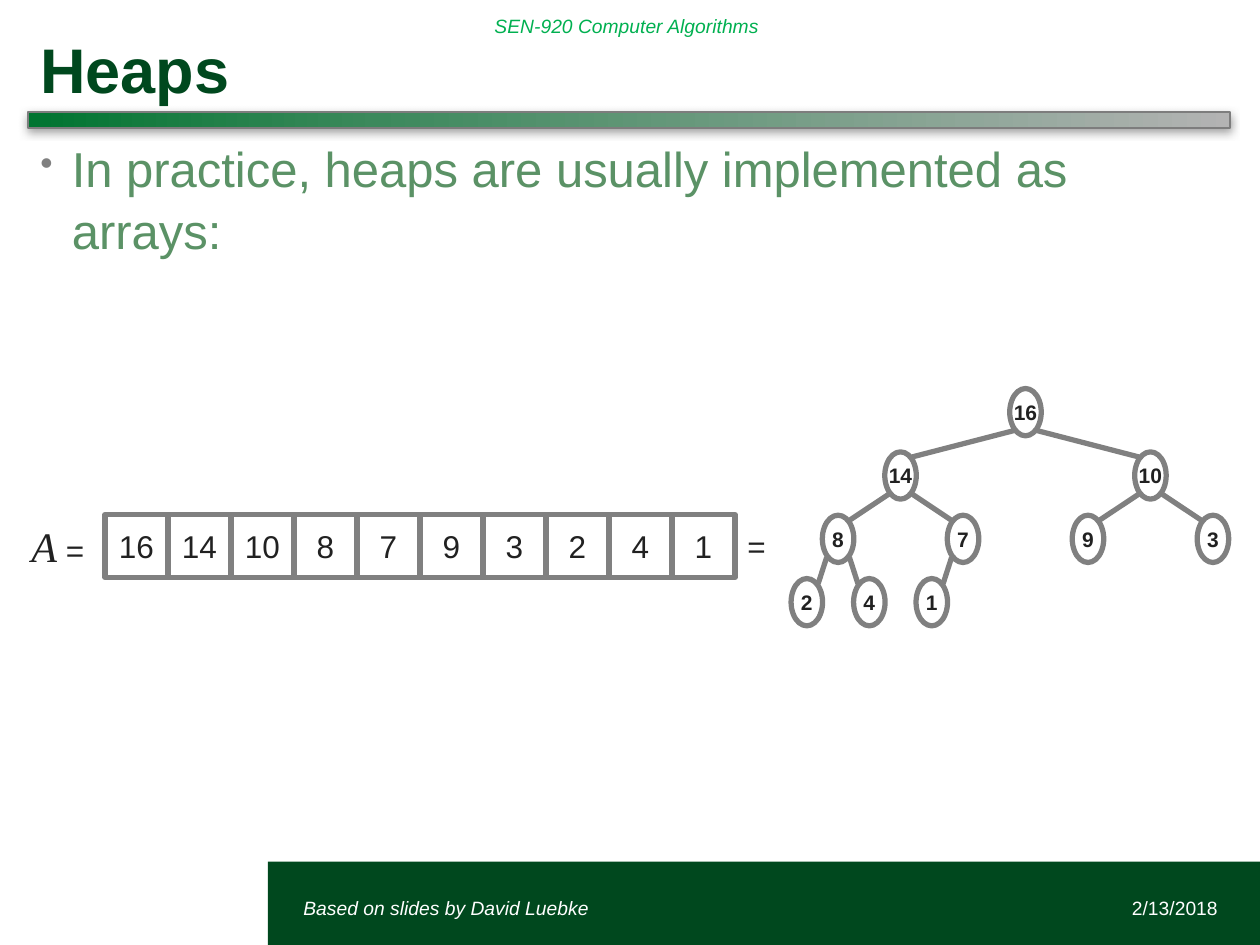
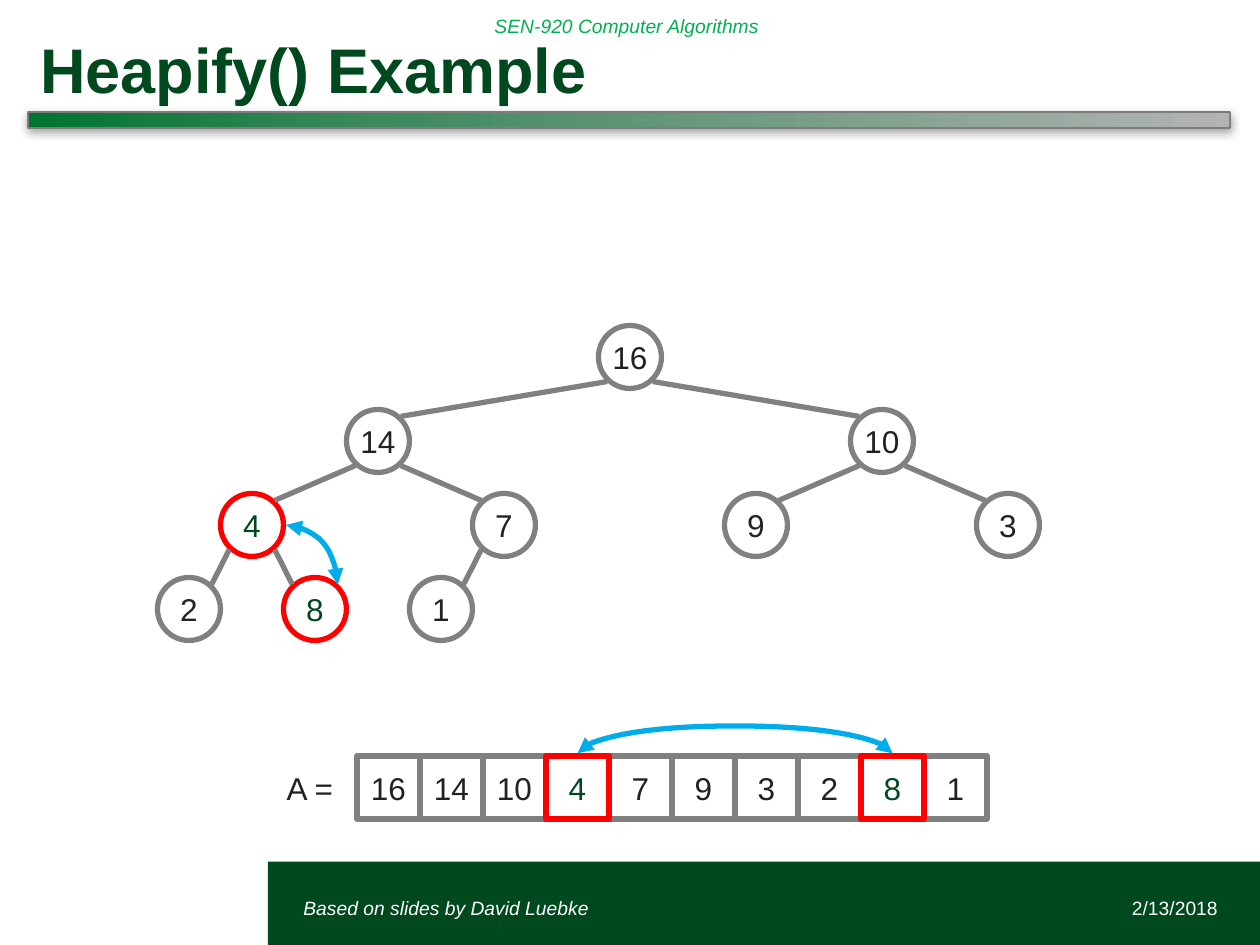
"""Build two slides on heaps: array storage and a Heapify() swap."""
import copy

import pptx
import pptx.dml.color
import pptx.enum.dml
import pptx.enum.shapes
import pptx.enum.text
import pptx.oxml
import pptx.oxml.ns
import pptx.util

Pt = pptx.util.Pt
qn = pptx.oxml.ns.qn
SHAPE = pptx.enum.shapes.MSO_SHAPE
CONNECTOR = pptx.enum.shapes.MSO_CONNECTOR
ALIGN = pptx.enum.text.PP_ALIGN
ANCHOR = pptx.enum.text.MSO_ANCHOR

COLORS = {
    "dark": "00481E", "course": "00B050", "body": "5B9266", "ink": "212121",
    "white": "FFFFFF", "gray": "808080", "bar_line": "7D7D7D",
    "marked": "FF0000", "swap": "00ACEA",
}
BAR_STOPS = [(0, "007430"), (0.29, "3C895C"), (1, "B3B3B3")]
CELL = 36


def rgb(name):
    """Return the named colour."""
    return pptx.dml.color.RGBColor.from_string(COLORS[name])


def add_xml(parent, tag, **attributes):
    """Append a DrawingML element and return it."""
    child = parent.makeelement(qn(tag), attributes)
    parent.append(child)
    return child


def style(font, size, color="ink", name="Arial", bold=False, italic=False):
    """Set the look of a paragraph's or span's font."""
    font.size, font.name = Pt(size), name
    font.bold, font.italic = bold, italic
    font.color.rgb = rgb(color)


def write(shape, text, size, align=ALIGN.CENTER, anchor=ANCHOR.MIDDLE, wrap=False, **look):
    """Put one styled paragraph in a shape and return it."""
    frame = shape.text_frame
    frame.word_wrap = wrap
    frame.vertical_anchor = anchor
    para = frame.paragraphs[0]
    para.text, para.alignment = text, align
    style(para.font, size, **look)
    return para


def add_text(page, place, text, size, **look):
    """Add a text box and return its paragraph."""
    box = page.shapes.add_textbox(*map(Pt, place))
    return write(box, text, size, **look)


def add_shape(shapes, kind, place, fill="white", line="gray", weight=3):
    """Add a filled preset shape without a theme shadow."""
    shape = shapes.add_shape(kind, *map(Pt, place))
    shape.shadow.inherit = False
    shape.fill.solid()
    shape.fill.fore_color.rgb = rgb(fill)
    if line:
        shape.line.color.rgb = rgb(line)
        shape.line.width = Pt(weight)
    else:
        shape.line.fill.background()
    return shape


def add_line(shapes, start, end, color="gray", kind=CONNECTOR.STRAIGHT):
    """Add a connector without a shadow."""
    line = shapes.add_connector(kind, *map(Pt, (*start, *end)))
    line.line.color.rgb = rgb(color)
    line.line.width = Pt(3)
    add_xml(line._element.spPr, "a:effectLst")
    return line


def add_swap(page, start, end):
    """Add a curved connector with arrowheads at both ends."""
    swap = add_line(page.shapes, start, end, "swap", CONNECTOR.CURVE)
    outline = swap.line._get_or_add_ln()
    for tag in ("a:headEnd", "a:tailEnd"):
        add_xml(outline, tag, type="triangle")
    return swap


def add_corner_swap(page, start, end):
    """Add a swap arrow that bends once."""
    swap = add_swap(page, start, end)
    swap._element.spPr.find(qn("a:prstGeom")).set("prst", "curvedConnector2")


def add_arched_swap(page, left, right, y, rise):
    """Add a swap arrow that arches over a level span."""
    middle, half, depth = (left + right) / 2, (right - left) / 2, 0.12
    swap = add_swap(page, (middle, y + half), (middle + depth, y - half))
    properties = swap._element.spPr
    properties.find(qn("a:xfrm")).set("rot", "5400000")
    guides = properties.find(qn("a:prstGeom")).find(qn("a:avLst"))
    bend = round(-rise / depth * 100000)
    add_xml(guides, "a:gd", name="adj1", fmla=f"val {bend}")


def add_title_bar(page):
    """Add the shaded rule under the title."""
    bar = add_shape(page.shapes, SHAPE.RECTANGLE, (16, 64, 687, 9), line="bar_line", weight=1)
    bar.fill.gradient()
    bar.fill.gradient_angle = 0
    stops = bar._element.spPr.find(qn("a:gradFill")).find(qn("a:gsLst"))
    stops.append(copy.deepcopy(stops[0]))
    for stop, (position, color) in zip(bar.fill.gradient_stops, BAR_STOPS):
        stop.position = position
        stop.color.rgb = pptx.dml.color.RGBColor.from_string(color)
    effects = bar._element.spPr.find(qn("a:effectLst"))
    shadow = add_xml(effects, "a:outerShdw", blurRad=str(Pt(5)), dist=str(Pt(2)),
                     dir="5400000", algn="t", rotWithShape="0")
    tint = add_xml(shadow, "a:srgbClr", val=COLORS["gray"])
    add_xml(tint, "a:alpha", val="75000")


def add_page(deck, title):
    """Add a slide with the shared title, bands and footers."""
    page = deck.slides.add_slide(deck.slide_layouts[6])
    add_shape(page.shapes, SHAPE.RECTANGLE, (153, 492.4, 567, 47.6), "dark", None)
    add_title_bar(page)
    left = {"align": ALIGN.LEFT, "wrap": True}
    add_text(page, (275.5, 0, 332, 29), "SEN-920 Computer Algorithms", 11,
             color="course", italic=True, **left)
    add_text(page, (16, 11.5, 687, 52.5), title, 36, color="dark", bold=True,
             anchor=ANCHOR.BOTTOM, **left)
    add_text(page, (166.3, 504.5, 332, 29), "Based on slides by David Luebke", 11,
             color="white", italic=True, **left)
    add_text(page, (535, 504.5, 168, 29), "2/13/2018", 11,
             color="white", align=ALIGN.RIGHT, wrap=True)
    return page


def add_bullet(page, text):
    """Add the bulleted body text."""
    para = add_text(page, (16, 73, 687, 410), text, 28, color="body",
                    align=ALIGN.LEFT, anchor=ANCHOR.TOP, wrap=True)
    para.space_before = Pt(20)
    para.line_spacing = 1.07
    properties = para._p.get_or_add_pPr()
    properties.set("marL", str(Pt(18)))
    properties.set("indent", str(-Pt(18)))
    bullet = [pptx.oxml.parse_xml(f'<a:{tag} xmlns:a="{properties.nsmap["a"]}"/>')
              for tag in ("buClr", "buSzPct", "buChar")]
    add_xml(bullet[0], "a:srgbClr", val=COLORS["gray"])
    bullet[1].set("val", "75000")
    bullet[2].set("char", "•")
    defaults = properties.find(qn("a:defRPr"))
    for part in bullet:
        defaults.addprevious(part)


def mark_colors(value, marked):
    """Return the line and text colours of a heap value."""
    return ("marked", "dark") if value in marked else ("gray", "ink")


def add_array(page, values, left, top, marked=()):
    """Add a row of cells, with the marked ones in front."""
    for index, value in sorted(enumerate(values), key=lambda item: item[1] in marked):
        line, color = mark_colors(value, marked)
        cell = add_shape(page.shapes, SHAPE.RECTANGLE,
                         (left + index * CELL, top, CELL, CELL), line=line)
        write(cell, str(value), 18, color=color)


def add_tree(shapes, values, root, node, spread, drop, size, bold=False, marked=()):
    """Add a binary heap whose spread halves at each level."""
    width, height = node
    centers = [root]
    for index in range(1, len(values)):
        x, y = centers[(index - 1) // 2]
        level = (index + 1).bit_length() - 2
        side = -1 if index % 2 else 1
        centers.append((x + side * spread / 2 ** level, y + drop))
    for value, (x, y) in zip(values, centers):
        line, color = mark_colors(value, marked)
        oval = add_shape(shapes, SHAPE.OVAL,
                         (x - width / 2, y - height / 2, width, height), line=line)
        write(oval, str(value), size, color=color, bold=bold)
    for index, (x, y) in enumerate(centers[1:], 1):
        parent_x, parent_y = centers[(index - 1) // 2]
        reach = width * (-0.36 if index % 2 else 0.36)
        add_line(shapes, (parent_x + reach, parent_y + height * 0.39),
                 (x - reach, y - height * 0.39))


def add_heaps_page(deck):
    """Show a heap as an array and as a tree."""
    heap = [16, 14, 10, 8, 7, 9, 3, 2, 4, 1]
    page = add_page(deck, "Heaps")
    add_bullet(page, "In practice, heaps are usually implemented as arrays:")
    add_tree(page.shapes.add_group_shape().shapes, heap, (586, 235.5), (18, 27),
             71.4, 36.2, 12, bold=True)
    add_array(page, heap, 60, 294)
    label = add_text(page, (6, 294, 54, CELL), "A", 24, name="Times New Roman", italic=True)
    span = label.add_run()
    span.text = " ="
    style(span.font, 18)
    add_text(page, (420, 294, 24, CELL), "=", 18)


def add_heapify_page(deck):
    """Show the swap of 4 and 8 in the tree and the array."""
    heap, swapped = [16, 14, 10, 4, 7, 9, 3, 2, 8, 1], (4, 8)
    left, top = 204, 432
    page = add_page(deck, "Heapify() Example")
    add_tree(page.shapes, heap, (360, 204), (CELL, CELL), 144, 48, 18, marked=swapped)
    add_corner_swap(page, (163.5, 300), (193, 334))
    add_text(page, (150, top, 54, CELL), "A =", 18)
    add_array(page, heap, left, top, swapped)
    ends = [left + (heap.index(value) + 0.5) * CELL for value in swapped]
    add_arched_swap(page, *ends, top - 1.5, 16.5)


def main():
    """Build and save the deck."""
    deck = pptx.Presentation()
    deck.slide_width, deck.slide_height = Pt(720), Pt(540)
    add_heaps_page(deck)
    add_heapify_page(deck)
    deck.save("out.pptx")


if __name__ == "__main__":
    main()
